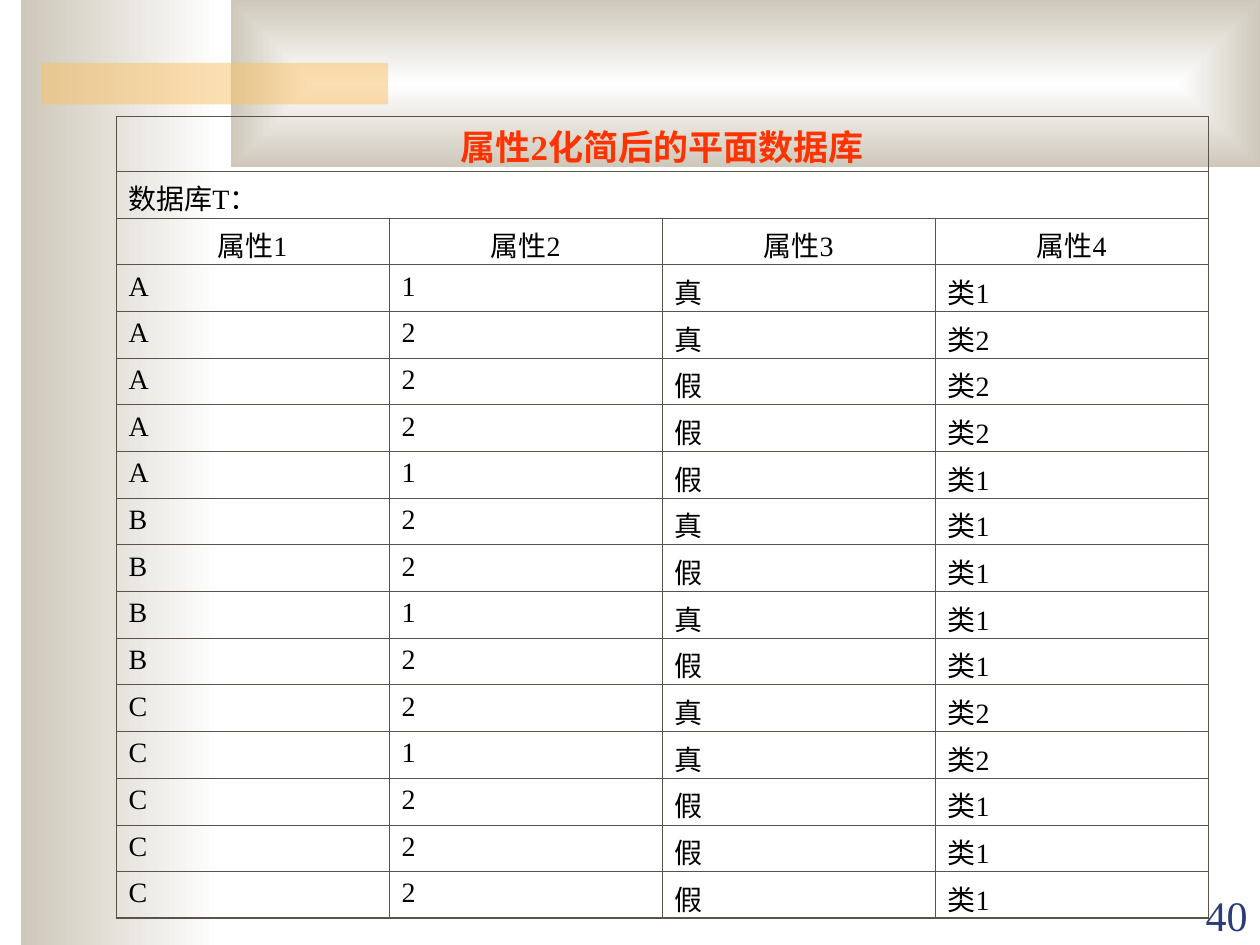
from lxml import etree
from pptx import Presentation
from pptx.dml.color import RGBColor
from pptx.enum.shapes import MSO_SHAPE
from pptx.enum.text import MSO_ANCHOR, PP_ALIGN
from pptx.oxml.ns import qn
from pptx.util import Inches, Pt

RECTANGLE = MSO_SHAPE.RECTANGLE
LEFT, CENTER, RIGHT = PP_ALIGN.LEFT, PP_ALIGN.CENTER, PP_ALIGN.RIGHT
BOTTOM = MSO_ANCHOR.BOTTOM

WHITE = RGBColor(0xFF, 0xFF, 0xFF)
STONE = RGBColor(0xCE, 0xC8, 0xBA)
AMBER = RGBColor(0xFA, 0xC1, 0x64)
BORDER = RGBColor(0x5B, 0x52, 0x49)
RED = RGBColor(0xFF, 0x33, 0x00)
BLACK = RGBColor(0x00, 0x00, 0x00)
NAVY = RGBColor(0x2A, 0x3D, 0x7A)
FONT = "Times New Roman"
THICK, THIN = Pt(1.08), Pt(0.45)

RECORDS = [
    ("A", "1", "真", "类1"),
    ("A", "2", "真", "类2"),
    ("A", "2", "假", "类2"),
    ("A", "2", "假", "类2"),
    ("A", "1", "假", "类1"),
    ("B", "2", "真", "类1"),
    ("B", "2", "假", "类1"),
    ("B", "1", "真", "类1"),
    ("B", "2", "假", "类1"),
    ("C", "2", "真", "类2"),
    ("C", "1", "真", "类2"),
    ("C", "2", "假", "类1"),
    ("C", "2", "假", "类1"),
    ("C", "2", "假", "类1"),
]
HEADINGS = ("属性1", "属性2", "属性3", "属性4")
ROWS = [("属性2化简后的平面数据库",), ("数据库T：",), HEADINGS] + RECORDS


def add_band(left, top, width, height):
    band = slide.shapes.add_shape(
        RECTANGLE, Inches(left), Inches(top), Inches(width), Inches(height))
    band.shadow.inherit = False
    band.line.fill.background()
    return band


def write(paragraph, text, size, color, align, bold=False):
    paragraph.text = text
    paragraph.alignment = align
    font = paragraph.runs[0].font
    font.name, font.size, font.bold = FONT, Pt(size), bold
    font.color.rgb = color


prs = Presentation()
prs.slide_width, prs.slide_height = Inches(10), Inches(7.5)
slide = prs.slides.add_slide(prs.slide_layouts[6])

# Background bands: side and top gradients
side_band = add_band(0.17, 0, 1.58, 7.5)
top_band = add_band(1.83, 0, 8.17, 1.33)
for band in (side_band, top_band):
    band.fill.gradient()
    for stop, color in zip(band.fill.gradient_stops, (WHITE, STONE)):
        stop.color.rgb = color
side_band.fill.gradient_angle = 180

# The top gradient spreads from its centre
direction = top_band.fill._xPr.find(".//" + qn("a:lin"))
spread = etree.Element(qn("a:path"), {"path": "rect"})
etree.SubElement(spread, qn("a:fillToRect"), dict.fromkeys("ltrb", "50000"))
direction.getparent().replace(direction, spread)

# Translucent accent bar
accent_bar = add_band(0.33, 0.5, 2.75, 0.33)
accent_bar.fill.solid()
accent_bar.fill.fore_color.rgb = AMBER
accent_color = accent_bar.fill._xPr.find(".//" + qn("a:srgbClr"))
etree.SubElement(accent_color, qn("a:alpha"), val="50000")

# Database table
n_rows, n_cols = len(ROWS), len(HEADINGS)
database = slide.shapes.add_table(
    n_rows, n_cols, Inches(0.92), Inches(0.92), Inches(8.67), Inches(6.36)).table
database.first_row = database.horz_banding = False
for column in database.columns:
    column.width = Inches(8.67 / n_cols)
for r, row in enumerate(database.rows):
    row.height = Inches(0.44 if r == 0 else 0.37)
    for cell in row.cells:
        # Thin grid, closed by a thick bottom edge
        properties = cell._tc.get_or_add_tcPr()
        for side in "LRTB":
            closing = side == "B" and r == n_rows - 1
            edge = etree.SubElement(
                properties, qn("a:ln" + side), w=str(THICK if closing else THIN))
            edge_fill = etree.SubElement(edge, qn("a:solidFill"))
            etree.SubElement(edge_fill, qn("a:srgbClr"), val=str(BORDER))
        cell.fill.background()
        cell.margin_top = Inches(0.03 if r == 0 else 0.05)
        cell.margin_bottom = 0

# Table text
for r, texts in enumerate(ROWS):
    if len(texts) == 1:
        database.cell(r, 0).merge(database.cell(r, n_cols - 1))
    for c, text in enumerate(texts):
        paragraph = database.cell(r, c).text_frame.paragraphs[0]
        if r == 0:
            write(paragraph, text, 20, RED, CENTER, bold=True)
        else:
            write(paragraph, text, 16, BLACK, CENTER if texts is HEADINGS else LEFT)
        paragraph.space_before = Pt(5 if r == 0 else 4)

# Page number
page_number = slide.shapes.add_textbox(
    Inches(9), Inches(7.01), Inches(1), Inches(0.5)).text_frame
page_number.word_wrap = True
page_number.vertical_anchor = BOTTOM
write(page_number.paragraphs[0], "40", 24, NAVY, RIGHT)

prs.save("out.pptx")
